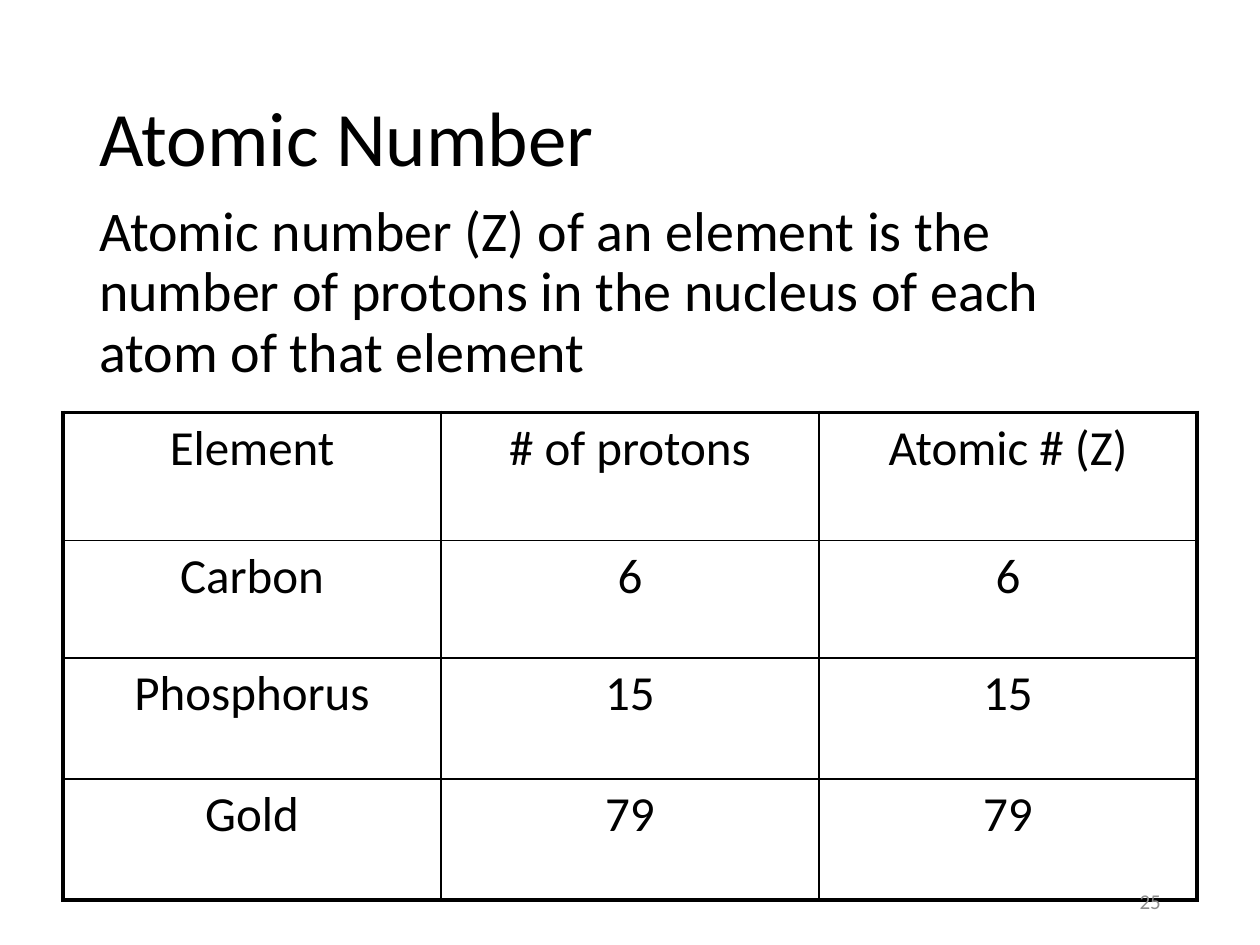
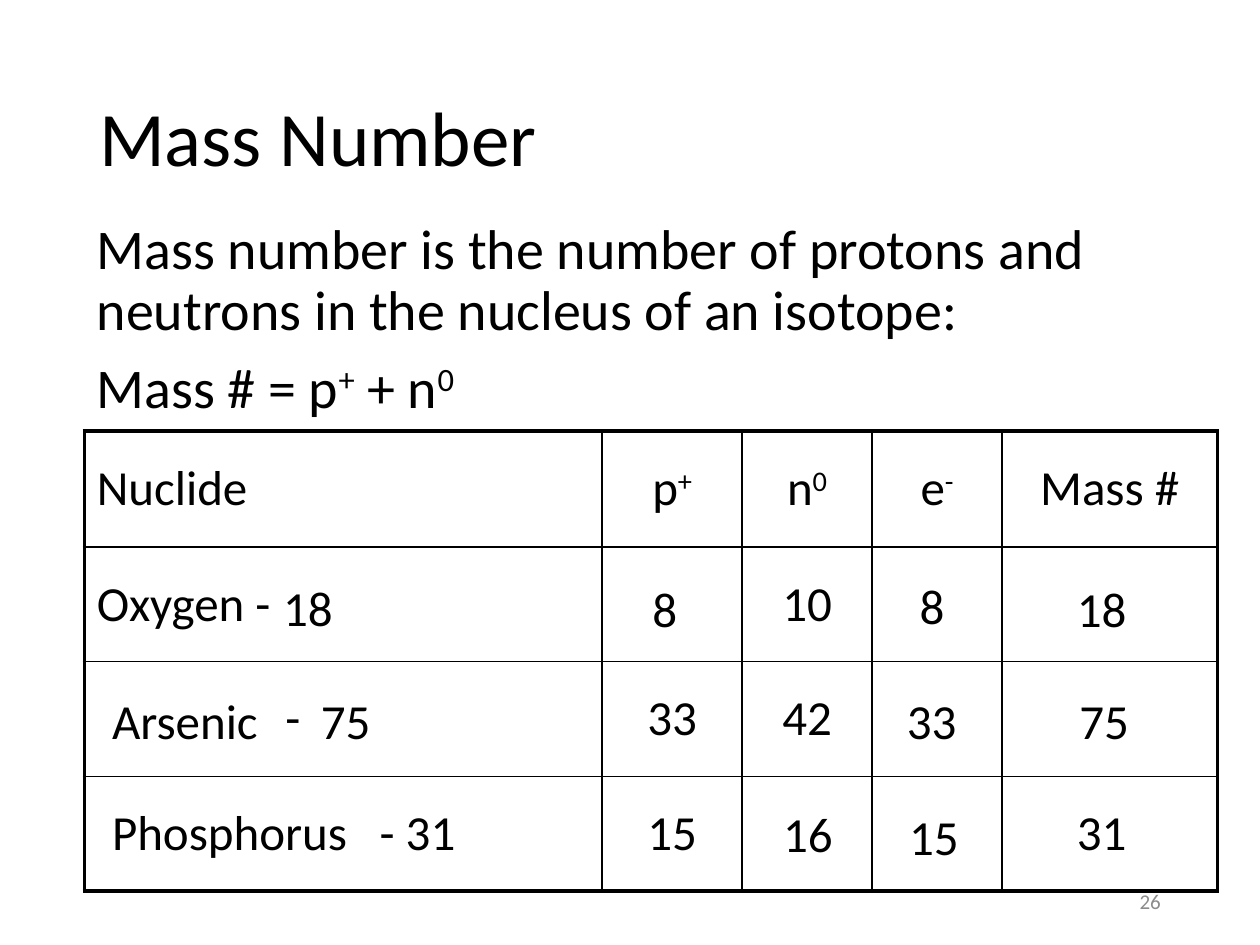
from dataclasses import dataclass

from lxml.etree import SubElement
from pptx import Presentation
from pptx.dml.color import RGBColor
from pptx.enum.text import MSO_ANCHOR as Anchor, PP_ALIGN as Align
from pptx.oxml.ns import qn
from pptx.slide import Slide
from pptx.table import _Cell as Cell
from pptx.text.text import TextFrame, _Paragraph as Paragraph
from pptx.util import Cm, Pt

FONT = "Calibri"
INK = "000000"
MUTED = "8C8C8C"
TITLE_SIZE, BODY_SIZE, TABLE_SIZE, NUMBER_SIZE = 44, 32, 28, 12
INNER_LINE, OUTER_LINE = 1, 2.25
TEXT_WIDTH = 21.9
VALUE_HEIGHT = 1.45
NUMBER_WIDTH = 1.52


@dataclass(frozen=True)
class Box:
    """A rectangle in centimetres."""
    left: float
    top: float
    width: float
    height: float

    def lengths(self) -> tuple:
        return Cm(self.left), Cm(self.top), Cm(self.width), Cm(self.height)


@dataclass(frozen=True)
class Grid:
    """A ruled table; indents maps (row, column) to a left indent in cm."""
    left: float
    top: float
    columns: tuple
    rows: tuple
    texts: tuple
    anchor: Anchor
    centred_from: int
    indents: dict


@dataclass(frozen=True)
class Value:
    """A text laid over a table cell."""
    text: str
    left: float
    top: float
    width: float = NUMBER_WIDTH


@dataclass(frozen=True)
class Lesson:
    title: str
    body: tuple
    body_left: float
    body_top: float
    grid: Grid
    values: tuple
    number: int


TITLE_BOX = Box(1.75, 1.02, TEXT_WIDTH, 3.68)
NUMBER_BOX = Box(17.93, 17.65, 5.72, 1.02)

LESSONS = (
    Lesson(
        title="Atomic Number",
        body=("Atomic number (Z) of an element is the number of protons "
              "in the nucleus of each atom of that element",),
        body_left=1.75,
        body_top=3.96,
        grid=Grid(
            1.27, 8.31, (7.62,) * 3, (2.59, 2.36, 2.44, 2.44),
            (("Element", "# of protons", "Atomic # (Z)"),
             ("Carbon", "6", "6"),
             ("Phosphorus", "15", "15"),
             ("Gold", "79", "79")),
            Anchor.TOP, 0, {}),
        values=(),
        number=25,
    ),
    Lesson(
        title="Mass Number",
        body=("Mass number is the number of protons and neutrons "
              "in the nucleus of an isotope:",
              "Mass # = p^+^ + n^0^"),
        body_left=1.7,
        body_top=4.34,
        grid=Grid(
            1.7, 8.69, (10.44, 2.82, 2.62, 2.62, 4.34), (2.34, 2.31, 2.31, 2.31),
            (("Nuclide", "p^+^", "n^0^", "e^-^", "Mass #"),
             ("Oxygen -", "", "10", "", ""),
             ("-", "33", "42", "", ""),
             ("- 31", "15", "", "", "")),
            Anchor.MIDDLE, 1, {(2, 0): 3.8, (3, 0): 5.7}),
        values=(
            Value("8", 12.9, 11.53, 1.02),
            Value("8", 18.29, 11.48, 1.02),
            Value("18", 21.46, 11.53),
            Value("18", 5.46, 11.51),
            Value("Arsenic", 2.01, 13.79, 3.48),
            Value("75", 6.22, 13.79),
            Value("33", 18.03, 13.79),
            Value("75", 21.51, 13.79),
            Value("Phosphorus", 2.01, 16.03, 5.31),
            Value("15", 18.08, 16.13),
            Value("31", 21.46, 16.03),
            Value("16", 15.54, 16.08),
        ),
        number=26,
    ),
)


def colour(code: str) -> RGBColor:
    return RGBColor.from_string(code)


def write(para: Paragraph, text: str, size: float, ink: str = INK) -> None:
    """Fill a paragraph; text between a pair of ^ signs is superscript."""
    para.font.name = FONT
    para.font.size = Pt(size)
    para.font.color.rgb = colour(ink)
    for index, part in enumerate(text.split("^")):
        if part:
            span = para.add_run()
            span.text = part
            if index % 2:
                span._r.get_or_add_rPr().set("baseline", "30000")


def add_text_frame(page: Slide, box: Box, anchor: Anchor = Anchor.TOP,
                   wrap: bool = True) -> TextFrame:
    frame = page.shapes.add_textbox(*box.lengths()).text_frame
    frame.word_wrap = wrap
    frame.vertical_anchor = anchor
    return frame


def add_title(page: Slide, title: str) -> None:
    para = add_text_frame(page, TITLE_BOX, Anchor.MIDDLE).paragraphs[0]
    para.line_spacing = 0.9
    write(para, title, TITLE_SIZE)


def add_body(page: Slide, lesson: Lesson) -> None:
    box = Box(lesson.body_left, lesson.body_top, TEXT_WIDTH, 12.09)
    frame = add_text_frame(page, box)
    for index, text in enumerate(lesson.body):
        para = frame.add_paragraph() if index else frame.paragraphs[0]
        para.line_spacing = 0.9
        para.space_before = Pt(10)
        write(para, text, BODY_SIZE)


def rule_cell(cell: Cell, outer_sides: dict) -> None:
    """Draw the four borders, thicker on the outer sides of the table."""
    properties = cell._tc.get_or_add_tcPr()
    for side, is_outer in outer_sides.items():
        width = OUTER_LINE if is_outer else INNER_LINE
        line = SubElement(properties, qn(f"a:ln{side}"), w=str(Pt(width)))
        fill = SubElement(line, qn("a:solidFill"))
        SubElement(fill, qn("a:srgbClr"), val=INK)


def add_grid(page: Slide, grid: Grid) -> None:
    box = Box(grid.left, grid.top, sum(grid.columns), sum(grid.rows))
    last_row, last_column = len(grid.rows) - 1, len(grid.columns) - 1
    table = page.shapes.add_table(
        len(grid.rows), len(grid.columns), *box.lengths()).table
    table.first_row = table.horz_banding = False
    for column, width in zip(table.columns, grid.columns):
        column.width = Cm(width)
    for row, height in zip(table.rows, grid.rows):
        row.height = Cm(height)
    for r, texts in enumerate(grid.texts):
        for c, text in enumerate(texts):
            cell = table.cell(r, c)
            rule_cell(cell, {"L": c == 0, "R": c == last_column,
                             "T": r == 0, "B": r == last_row})
            cell.fill.background()
            cell.vertical_anchor = grid.anchor
            para = cell.text_frame.paragraphs[0]
            para.alignment = Align.CENTER if c >= grid.centred_from else Align.LEFT
            if (r, c) in grid.indents:
                para._p.get_or_add_pPr().set("marL", str(Cm(grid.indents[r, c])))
            write(para, text, TABLE_SIZE)


def add_value(page: Slide, value: Value) -> None:
    box = Box(value.left, value.top, value.width, VALUE_HEIGHT)
    frame = add_text_frame(page, box, wrap=False)
    write(frame.paragraphs[0], value.text, TABLE_SIZE)


def add_page_number(page: Slide, number: int) -> None:
    para = add_text_frame(page, NUMBER_BOX, Anchor.MIDDLE).paragraphs[0]
    para.alignment = Align.RIGHT
    write(para, str(number), NUMBER_SIZE, MUTED)


def main() -> None:
    deck = Presentation()
    deck.slide_width, deck.slide_height = Cm(25.4), Cm(19.05)
    for lesson in LESSONS:
        page = deck.slides.add_slide(deck.slide_layouts[6])
        add_title(page, lesson.title)
        add_body(page, lesson)
        add_grid(page, lesson.grid)
        for value in lesson.values:
            add_value(page, value)
        add_page_number(page, lesson.number)
    deck.save("out.pptx")


if __name__ == "__main__":
    main()
